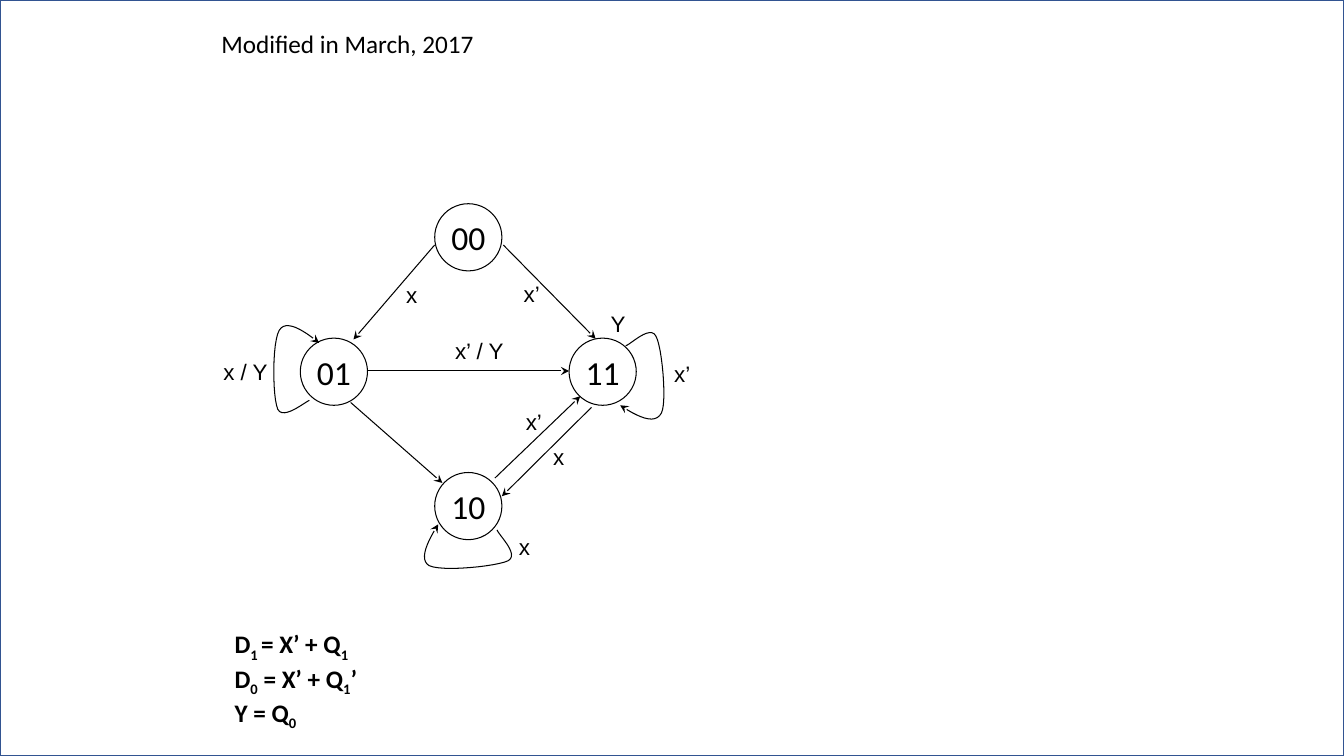
from dataclasses import dataclass
from lxml.etree import SubElement
from pptx import Presentation
from pptx.dml.color import RGBColor
from pptx.enum.shapes import MSO_CONNECTOR, MSO_SHAPE
from pptx.enum.text import MSO_ANCHOR, PP_ALIGN
from pptx.oxml.ns import qn
from pptx.util import Pt


@dataclass(frozen=True)
class Theme:
    ink: RGBColor = RGBColor(0, 0, 0)
    paper: RGBColor = RGBColor(255, 255, 255)
    frame: RGBColor = RGBColor(0x32, 0x54, 0x91)
    body_font: str = "Calibri"
    label_font: str = "Arial"
    state_size: int = 24
    body_size: int = 18
    label_size: int = 16
    line_width: float = 0.75


THEME = Theme()
WIDTH, HEIGHT = 960, 540

# Content
NOTE = "Modified in March, 2017"
EQUATIONS = [  # plain and subscript pieces take turns
    ("D", "1 ", "= X’ + Q", "1"),
    ("D", "0", " = X’ + Q", "1", "’"),
    ("Y = Q", "0"),
]
STATES = {"00": (0, -1), "10": (0, 1), "11": (1, 0), "01": (-1, 0)}
TRANSITIONS = [  # start, end
    ((310.5, 175), (252.5, 242.5)),
    ((359.5, 175), (425.5, 242)),
    ((262.5, 265), (406.5, 265)),
    ((250.5, 287.5), (316, 345)),
    ((353.5, 341.5), (414.5, 283)),
    ((422.5, 291), (358.5, 354.5)),
]
SELF_LOOPS = [  # start, then three points for each Bézier curve
    [(447, 247), (450.5, 246), (464.5, 232), (468.5, 240), (473, 247.5),
     (476.5, 287.5), (472.5, 295), (468, 304), (455, 297.5), (443, 289.5)],
    [(221, 286), (217.5, 287.5), (202.5, 300), (198.5, 292.5), (194.5, 283.5),
     (194.5, 244), (199.5, 236), (204, 228), (216.5, 235.5), (228, 245)],
    [(355, 378.5), (356.5, 382.5), (371, 396), (363, 400.5), (355, 404.5),
     (315.5, 408.5), (306.5, 404), (299, 399.5), (305.5, 386.5), (313, 374.5)],
]
LABELS = [  # text, left, top
    ("x", 283, 197.5), ("x’", 367, 196.5), ("x’ / Y", 318, 237.5),
    ("x / Y", 152.5, 252), ("Y", 429, 218), ("x’", 474.5, 254),
    ("x’", 368.5, 288), ("x", 388, 313), ("x", 363.5, 377.5),
]
LABEL_WIDTHS = {"x": 22, "x’": 26, "Y": 24, "x / Y": 46, "x’ / Y": 49}

# Layout
CENTER_X, CENTER_Y, STEP, DIAMETER = 334.5, 265.5, 96, 48
CURVE_STEPS = 12


def set_font(p, name, size, bold=False):
    p.font.name, p.font.size, p.font.bold = name, Pt(size), bold
    p.font.color.rgb = THEME.ink


def add_text_box(slide, left, top, width, height, wrap=True):
    sp = slide.shapes.add_textbox(Pt(left), Pt(top), Pt(width), Pt(height))
    sp.text_frame.word_wrap = wrap
    return sp.text_frame


def style_line(sp, arrow=False):
    sp.line.color.rgb = THEME.ink
    sp.line.width = Pt(THEME.line_width)
    if arrow:
        SubElement(sp.line._get_or_add_ln(), qn("a:tailEnd"), type="stealth")


def add_transition(slide, start, end):
    line = slide.shapes.add_connector(
        MSO_CONNECTOR.STRAIGHT, *(Pt(v) for v in start + end))
    style_line(line, arrow=True)
    SubElement(line._element.spPr, qn("a:effectLst"))


def bezier(points, t):
    weights = ((1 - t) ** 3, 3 * t * (1 - t) ** 2, 3 * t * t * (1 - t), t ** 3)
    return tuple(Pt(sum(w * pt[axis] for w, pt in zip(weights, points)))
                 for axis in (0, 1))


def add_self_loop(slide, points):
    outline = [bezier(points[i:i + 4], n / CURVE_STEPS)
               for i in range(0, len(points) - 1, 3)
               for n in range(1, CURVE_STEPS + 1)]
    builder = slide.shapes.build_freeform(*(Pt(v) for v in points[0]))
    builder.add_line_segments(outline, close=False)
    sp = builder.convert_to_shape()
    sp.shadow.inherit = False
    sp.fill.background()
    style_line(sp, arrow=True)


def add_state(slide, name, column, row):
    left = CENTER_X + column * STEP - DIAMETER / 2
    top = CENTER_Y + row * STEP - DIAMETER / 2
    sp = slide.shapes.add_shape(
        MSO_SHAPE.OVAL, Pt(left), Pt(top), Pt(DIAMETER), Pt(DIAMETER))
    sp.shadow.inherit = False
    sp.fill.solid()
    sp.fill.fore_color.rgb = THEME.paper
    style_line(sp)
    tf = sp.text_frame
    tf.word_wrap = False
    tf.vertical_anchor = MSO_ANCHOR.MIDDLE
    p = tf.paragraphs[0]
    p.text, p.alignment = name, PP_ALIGN.CENTER
    set_font(p, THEME.body_font, THEME.state_size)


def main():
    prs = Presentation()
    prs.slide_width, prs.slide_height = Pt(WIDTH), Pt(HEIGHT)
    slide = prs.slides.add_slide(prs.slide_layouts[6])

    # Slide frame
    frame = slide.shapes.add_shape(MSO_SHAPE.RECTANGLE, 0, 0, Pt(WIDTH), Pt(HEIGHT))
    frame.shadow.inherit = False
    frame.fill.background()
    frame.line.color.rgb = THEME.frame
    frame.line.width = Pt(1)

    # Revision note
    p = add_text_box(slide, 151, 16.5, 396, 29).paragraphs[0]
    p.text = NOTE
    set_font(p, THEME.body_font, THEME.body_size)

    # State diagram
    for name, (column, row) in STATES.items():
        add_state(slide, name, column, row)
    for start, end in TRANSITIONS:
        add_transition(slide, start, end)
    for points in SELF_LOOPS:
        add_self_loop(slide, points)
    for text, left, top in LABELS:
        tf = add_text_box(slide, left, top, LABEL_WIDTHS[text], 26.5, wrap=False)
        p = tf.paragraphs[0]
        p.text = text
        set_font(p, THEME.label_font, THEME.label_size)

    # Equations
    tf = add_text_box(slide, 160.5, 445.5, 221, 73)
    for i, pieces in enumerate(EQUATIONS):
        p = tf.add_paragraph() if i else tf.paragraphs[0]
        set_font(p, THEME.body_font, THEME.body_size, bold=True)
        for n, piece in enumerate(pieces):
            r = p.add_run()
            r.text = piece
            if n % 2:
                r._r.get_or_add_rPr().set("baseline", "-25000")

    prs.save("out.pptx")


if __name__ == "__main__":
    main()
